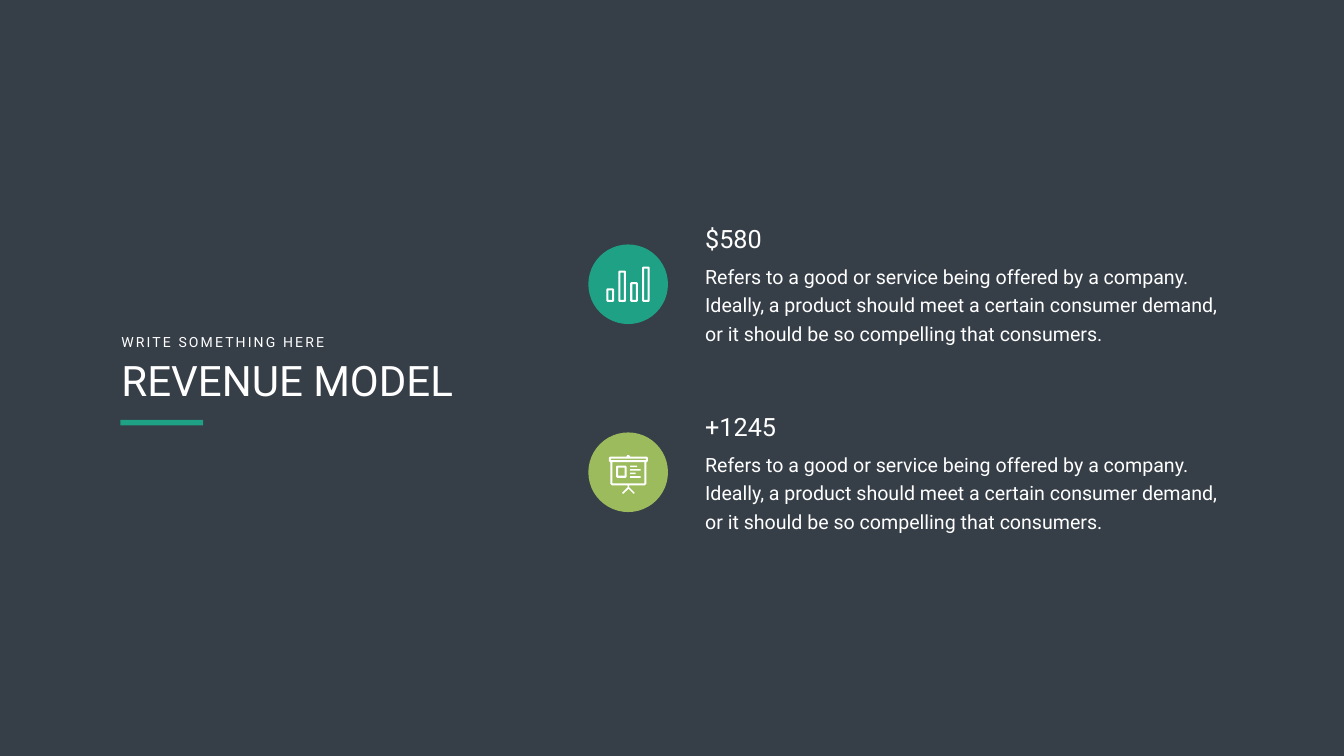
from pptx import Presentation
from pptx.dml.color import RGBColor
from pptx.enum.shapes import MSO_SHAPE as SHAPE
from pptx.enum.text import MSO_ANCHOR as ANCHOR, MSO_AUTO_SIZE as AUTO_SIZE, PP_ALIGN as ALIGN
from pptx.util import Inches, Pt

# Content
TITLE = "REVENUE MODEL"
KICKER = "WRITE SOMETHING HERE"
BODY = ("Refers to a good or service being offered by a company. Ideally, a product should meet "
        "a certain consumer demand, or it should be so compelling that consumers.")

# Icons in inches from the circle's centre: frames and bars are x, y, width, height
BAR_HEIGHTS = [0.27, 0.62, 0.39, 0.7]
BAR_WIDTH, BAR_PITCH, BAR_BASE = 0.15, 0.236, 0.35
CHART_ICON = {
    "frames": [(-0.43 + index * BAR_PITCH, BAR_BASE - height, BAR_WIDTH, height)
               for index, height in enumerate(BAR_HEIGHTS)],
    "bars": [],
    "polygons": [],
}
TEXT_LINE_LENGTHS = [0.14, 0.21, 0.11, 0.21]
BOARD_ICON = {
    "frames": [(-0.38, -0.31, 0.77, 0.11), (-0.24, -0.13, 0.21, 0.24)],
    "bars": [(0.04, -0.13 + row * 0.07, length, 0.03)
             for row, length in enumerate(TEXT_LINE_LENGTHS)],
    "polygons": [
        # Board sides, knob and stand
        [(-0.35, -0.2), (-0.35, 0.23), (-0.32, 0.26), (0.33, 0.26), (0.36, 0.23), (0.36, -0.2),
         (0.32, -0.2), (0.32, 0.22), (-0.31, 0.22), (-0.31, -0.2)],
        [(-0.03, -0.31), (-0.02, -0.34), (0.02, -0.34), (0.04, -0.31)],
        [(-0.01, 0.26), (0.02, 0.26), (0.02, 0.3), (0.13, 0.41), (0.11, 0.43), (0.01, 0.33),
         (-0.1, 0.43), (-0.12, 0.41), (-0.01, 0.3)],
    ],
}
ITEMS = [
    ("$580", BODY, "green", CHART_ICON),
    ("+1245", BODY, "lime", BOARD_ICON),
]

# Style and grid
COLORS = {"background": "363E48", "green": "1EA185", "lime": "9BBB5C", "white": "FFFFFF"}
FONT = "Roboto"
WIDTH, HEIGHT = 26.66, 15
LEFT = 2.31
TEXT_LEFT = 13.89
CIRCLE_LEFT, CIRCLE_SIZE = 11.67, 1.58
FIRST_ROW, ROW_PITCH = 4.39, 3.73
ICON_LINE, ICON_CORNER = 0.04, 0.02


def color(name):
    return RGBColor.from_string(COLORS[name])


def inches(*values):
    return [Inches(value) for value in values]


def write(shape, text, size, line_spacing=None, wrap=True):
    frame = shape.text_frame
    frame.word_wrap = wrap
    frame.auto_size = AUTO_SIZE.SHAPE_TO_FIT_TEXT
    frame.vertical_anchor = ANCHOR.TOP
    frame.text = text
    paragraph = frame.paragraphs[0]
    paragraph.alignment = ALIGN.LEFT
    if line_spacing:
        paragraph.line_spacing = Pt(line_spacing)
    font = paragraph.runs[0].font
    font.name, font.size = FONT, Pt(size)
    font.color.rgb = color("white")
    return paragraph.runs[0]


def paint(shape, fill):
    shape.shadow.inherit = False
    shape.fill.solid()
    shape.fill.fore_color.rgb = color(fill)
    shape.line.fill.background()


def add_filled(shapes, kind, box, fill):
    paint(shapes.add_shape(kind, *inches(*box)), fill)


def rectangle(x, y, width, height, cut=0):
    """Corner points, clockwise, with the corners cut off by the given length."""
    right, bottom = x + width, y + height
    if not cut:
        return [(x, y), (right, y), (right, bottom), (x, bottom)]
    return [(x + cut, y), (right - cut, y), (right, y + cut), (right, bottom - cut),
            (right - cut, bottom), (x + cut, bottom), (x, bottom - cut), (x, y + cut)]


def icon_contours(icon):
    contours = list(icon["polygons"])
    contours += [rectangle(*bar) for bar in icon["bars"]]
    for x, y, width, height in icon["frames"]:
        hole = rectangle(x + ICON_LINE, y + ICON_LINE,
                         width - 2 * ICON_LINE, height - 2 * ICON_LINE)
        contours += [rectangle(x, y, width, height, ICON_CORNER), hole[::-1]]
    return contours


def add_icon(shapes, icon, center_x, center_y):
    builder = None
    for contour in icon_contours(icon):
        start, *rest = [inches(center_x + x, center_y + y) for x, y in contour]
        if builder is None:
            builder = shapes.build_freeform(*start)
        else:
            builder.move_to(*start)
        builder.add_line_segments(rest, close=True)
    paint(builder.convert_to_shape(), "white")


presentation = Presentation()
presentation.slide_width, presentation.slide_height = inches(WIDTH, HEIGHT)
slide = presentation.slides.add_slide(presentation.slide_layouts[5])
shapes = slide.shapes

# Dark backdrop, behind the title
add_filled(shapes, SHAPE.RECTANGLE, (0, 0, WIDTH, HEIGHT), "background")
title = shapes.title
shapes[-1]._element.addnext(title._element)

# Heading block
title.left, title.top, title.width, title.height = inches(LEFT, 6.98, 7.18, 1.11)
write(title, TITLE, 60)
kicker = shapes.add_textbox(*inches(LEFT, 6.56, 4.35, 0.44))
kicker_run = write(kicker, KICKER, 20, wrap=False)
kicker_run.font._element.set("spc", "300")
add_filled(shapes, SHAPE.RECTANGLE, (2.39, 8.33, 1.64, 0.11), "green")

# Revenue items
for row, (amount, body, fill, icon) in enumerate(ITEMS):
    top = FIRST_ROW + row * ROW_PITCH
    write(shapes.add_textbox(*inches(TEXT_LEFT, top, 9.27, 0.71)), amount, 36)
    write(shapes.add_textbox(*inches(TEXT_LEFT, top + 0.71, 10.47, 1.78)), body, 28, 40.8)
    circle_top = top + 0.46
    add_filled(shapes, SHAPE.OVAL, (CIRCLE_LEFT, circle_top, CIRCLE_SIZE, CIRCLE_SIZE), fill)
    add_icon(shapes, icon, CIRCLE_LEFT + CIRCLE_SIZE / 2, circle_top + CIRCLE_SIZE / 2)

presentation.save("out.pptx")
